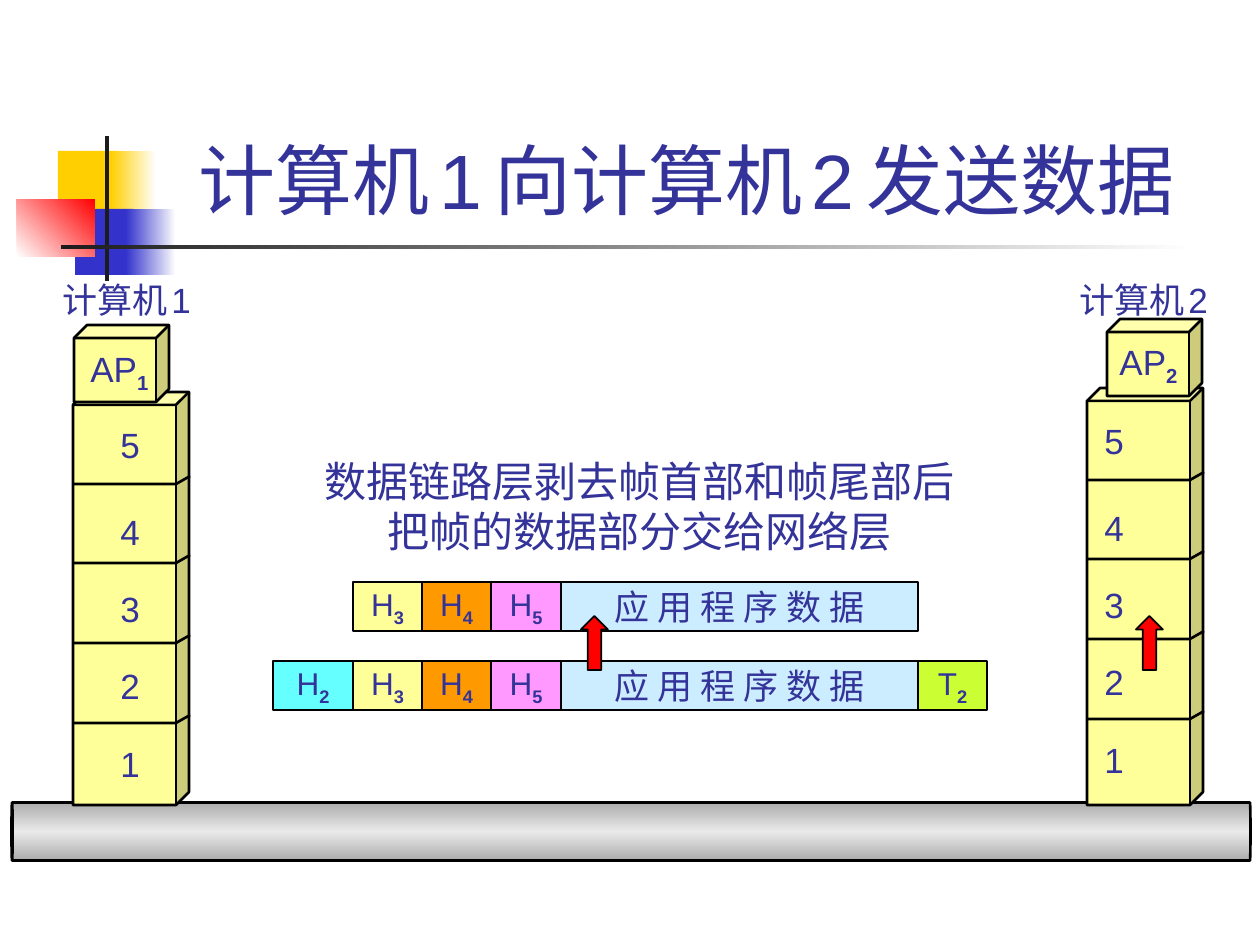
import copy
from dataclasses import dataclass
from typing import NamedTuple, Optional, Sequence

import pptx
import pptx.dml.color
import pptx.enum.shapes
import pptx.enum.text
import pptx.util

EMU_PER_PX = 914400 / 126
SHAPE = pptx.enum.shapes.MSO_SHAPE
ALIGN = pptx.enum.text.PP_ALIGN
ANCHOR = pptx.enum.text.MSO_ANCHOR
AUTO = pptx.enum.text.MSO_AUTO_SIZE


@dataclass(frozen=True)
class Theme:
    font: str = "Arial"
    data_font: str = "Lato"
    text: str = "333399"
    line: str = "000000"
    white: str = "FFFFFF"
    gold: str = "FFCF01"
    blue: str = "3333CC"
    red: str = "FF0000"
    dark: str = "1C1C1C"
    pipe_edge: str = "ACACAC"
    pipe_middle: str = "EAEAEA"
    yellow: str = "FFFF99"
    orange: str = "FF9900"
    pink: str = "FF99FF"
    sky: str = "CCECFF"
    cyan: str = "66FFFF"
    lime: str = "CCFF33"
    title_size: int = 44
    message_size: int = 24
    label_size: int = 20
    cell_size: int = 18
    name_gap_size: int = 10
    thin: float = 0.75
    thick: float = 1.5


THEME = Theme()


class Box(NamedTuple):
    x: int
    y: int
    w: int
    h: int


class Run(NamedTuple):
    text: str
    size: Optional[int] = None
    subscript: bool = False


class Block(NamedTuple):
    box: Box
    colors: Sequence[str]
    angle: int = 0


class Cell(NamedTuple):
    runs: Sequence[Run]
    width: int
    color: str
    size: int = THEME.cell_size
    font: str = THEME.font


@dataclass(frozen=True)
class Tower:
    number: str
    x: int
    y: int
    level_x: int
    name_x: int
    app: Box
    app_label: Box


def symbol(letter: str, index: str) -> list[Run]:
    return [Run(letter), Run(index, subscript=True)]


HEADERS = [Cell(symbol("H", "3"), 69, THEME.yellow),
           Cell(symbol("H", "4"), 69, THEME.orange),
           Cell(symbol("H", "5"), 70, THEME.pink)]
PACKET = HEADERS + [Cell([Run("应 用 程 序 数 据")], 357, THEME.sky,
                         THEME.label_size, THEME.data_font)]
FRAME = ([Cell(symbol("H", "2"), 80, THEME.cyan)] + PACKET
         + [Cell(symbol("T", "2"), 69, THEME.lime)])

DECORATION = [
    Block(Box(58, 151, 60, 66), [THEME.gold]),
    Block(Box(111, 151, 45, 66), [THEME.gold, THEME.white]),
    Block(Box(75, 209, 58, 66), [THEME.blue]),
    Block(Box(126, 209, 50, 66), [THEME.blue, THEME.white]),
    Block(Box(17, 199, 78, 58), [THEME.white, THEME.red], 45),
    Block(Box(105, 136, 4, 145), [THEME.dark]),
    Block(Box(61, 245, 1134, 4), [THEME.dark, THEME.white]),
]

TOWERS = [
    Tower("1", 73, 392, 108, 50, Box(74, 325, 95, 77), Box(78, 341, 83, 60)),
    Tower("2", 1087, 388, 1092, 1067, Box(1107, 319, 95, 77), Box(1107, 334, 83, 60)),
]
TOWER_WIDTH, TOWER_DEPTH, TOWER_BOTTOM = 116, 13, 805
LEVELS = [("5", 25), ("4", 112), ("3", 189), ("2", 266), ("1", 344)]
DIVIDERS = [92, 171, 251, 331]


def rgb(color: str) -> pptx.dml.color.RGBColor:
    return pptx.dml.color.RGBColor.from_string(color)


def emu(box: Box) -> list[int]:
    return [round(v * EMU_PER_PX) for v in box]


def paint(sp, colors: Sequence[str], angle: int = 0) -> None:
    """Fill solid for one colour, or with evenly spaced gradient stops."""
    if len(colors) == 1:
        sp.fill.solid()
        sp.fill.fore_color.rgb = rgb(colors[0])
        return
    sp.fill.gradient()
    sp.fill.gradient_angle = angle
    stops = sp._element.spPr.find(".//" + pptx.oxml.ns.qn("a:gsLst"))
    for _ in colors[2:]:
        stops.append(copy.deepcopy(stops[0]))
    for i, (stop, color) in enumerate(zip(sp.fill.gradient_stops, colors)):
        stop.position = i / (len(colors) - 1)
        stop.color.rgb = rgb(color)


def outline(sp, width: float) -> None:
    sp.line.color.rgb = rgb(THEME.line)
    sp.line.width = pptx.util.Pt(width)


def add_block(s, kind, box: Box, colors: Sequence[str], line: float = 0, angle: int = 0):
    sp = s.shapes.add_shape(kind, *emu(box))
    sp.shadow.inherit = False
    paint(sp, colors, angle)
    if line:
        outline(sp, line)
    else:
        sp.line.fill.background()
    return sp


def write(p, runs: Sequence[Run], size: int, font: str = THEME.font, align=ALIGN.LEFT) -> None:
    p.alignment = align
    p.font.name = font
    p.font.size = pptx.util.Pt(size)
    p.font.color.rgb = rgb(THEME.text)
    for run in runs:
        r = p.add_run()
        r.text = run.text
        if run.size:
            r.font.size = pptx.util.Pt(run.size)
        if run.subscript:
            r.font.bold = True
            r._r.get_or_add_rPr().set("baseline", "-25000")


def add_label(s, box: Box, lines: Sequence[Sequence[Run]], size: int = THEME.label_size,
              align=ALIGN.LEFT, wrap: bool = False, anchor=ANCHOR.TOP, fit=AUTO.SHAPE_TO_FIT_TEXT) -> None:
    tf = s.shapes.add_textbox(*emu(box)).text_frame
    tf.word_wrap = wrap
    tf.auto_size = fit
    tf.vertical_anchor = anchor
    for i, runs in enumerate(lines):
        write(tf.add_paragraph() if i else tf.paragraphs[0], runs, size, align=align)


def add_cells(s, x: int, y: int, cells: Sequence[Cell]) -> None:
    for cell in cells:
        sp = add_block(s, SHAPE.RECTANGLE, Box(x, y, cell.width, 49), [cell.color], THEME.thin)
        tf = sp.text_frame
        tf.word_wrap = False
        tf.vertical_anchor = ANCHOR.MIDDLE
        write(tf.paragraphs[0], cell.runs, cell.size, cell.font, ALIGN.CENTER)
        x += cell.width


def add_cube(s, box: Box) -> None:
    sp = add_block(s, SHAPE.CUBE, box, [THEME.yellow], THEME.thick)
    sp.adjustments[0] = TOWER_DEPTH / min(box.w, box.h)


def add_tower(s, t: Tower) -> None:
    add_cube(s, Box(t.x, t.y, TOWER_WIDTH, TOWER_BOTTOM - t.y))
    for level, dy in LEVELS:
        add_label(s, Box(t.level_x, t.y + dy, 44, 55), [[Run(level)]])
    right = t.x + TOWER_WIDTH
    for y in (t.y + dy for dy in DIVIDERS):
        fb = s.shapes.build_freeform(t.x, y, scale=EMU_PER_PX)
        fb.add_line_segments([(right - TOWER_DEPTH, y), (right + 1, y - 8)], close=False)
        sp = fb.convert_to_shape()
        sp.shadow.inherit = False
        sp.fill.background()
        outline(sp, THEME.thick)
    add_label(s, Box(t.name_x, 272, 162, 55),
              [[Run("计算机"), Run(" ", THEME.name_gap_size), Run(t.number)]])
    add_cube(s, t.app)
    add_label(s, t.app_label, [symbol("AP", t.number)])


def main() -> None:
    prs = pptx.Presentation()
    prs.slide_width, prs.slide_height = pptx.util.Inches(10), pptx.util.Inches(7.5)
    s = prs.slides.add_slide(prs.slide_layouts[6])
    for block in DECORATION:
        add_block(s, SHAPE.RECTANGLE, block.box, block.colors, angle=block.angle)
    gap = Run(" ", THEME.message_size)
    add_label(s, Box(159, 29, 1073, 202),
              [[Run("计算机"), gap, Run("1"), gap, Run("向计算机"), gap, Run("2"), gap, Run("发送数据 ")]],
              THEME.title_size, ALIGN.CENTER, True, ANCHOR.BOTTOM, AUTO.NONE)
    pipe = add_block(s, SHAPE.CAN, Box(602, 212, 58, 1239),
                     [THEME.pipe_edge, THEME.pipe_middle, THEME.pipe_edge], THEME.thick)
    pipe.rotation = 270
    pipe.adjustments[0] = 0.02
    for tower in TOWERS:
        add_tower(s, tower)
    add_label(s, Box(312, 449, 655, 113),
              [[Run("数据链路层剥去帧首部和帧尾部后")], [Run("把帧的数据部分交给网络层")]],
              THEME.message_size, ALIGN.CENTER, True)
    add_cells(s, 353, 582, PACKET)
    add_cells(s, 273, 661, FRAME)
    for x in (581, 1136):
        add_block(s, SHAPE.UP_ARROW, Box(x, 616, 27, 54), [THEME.red], 1)
    prs.save("out.pptx")


if __name__ == "__main__":
    main()
